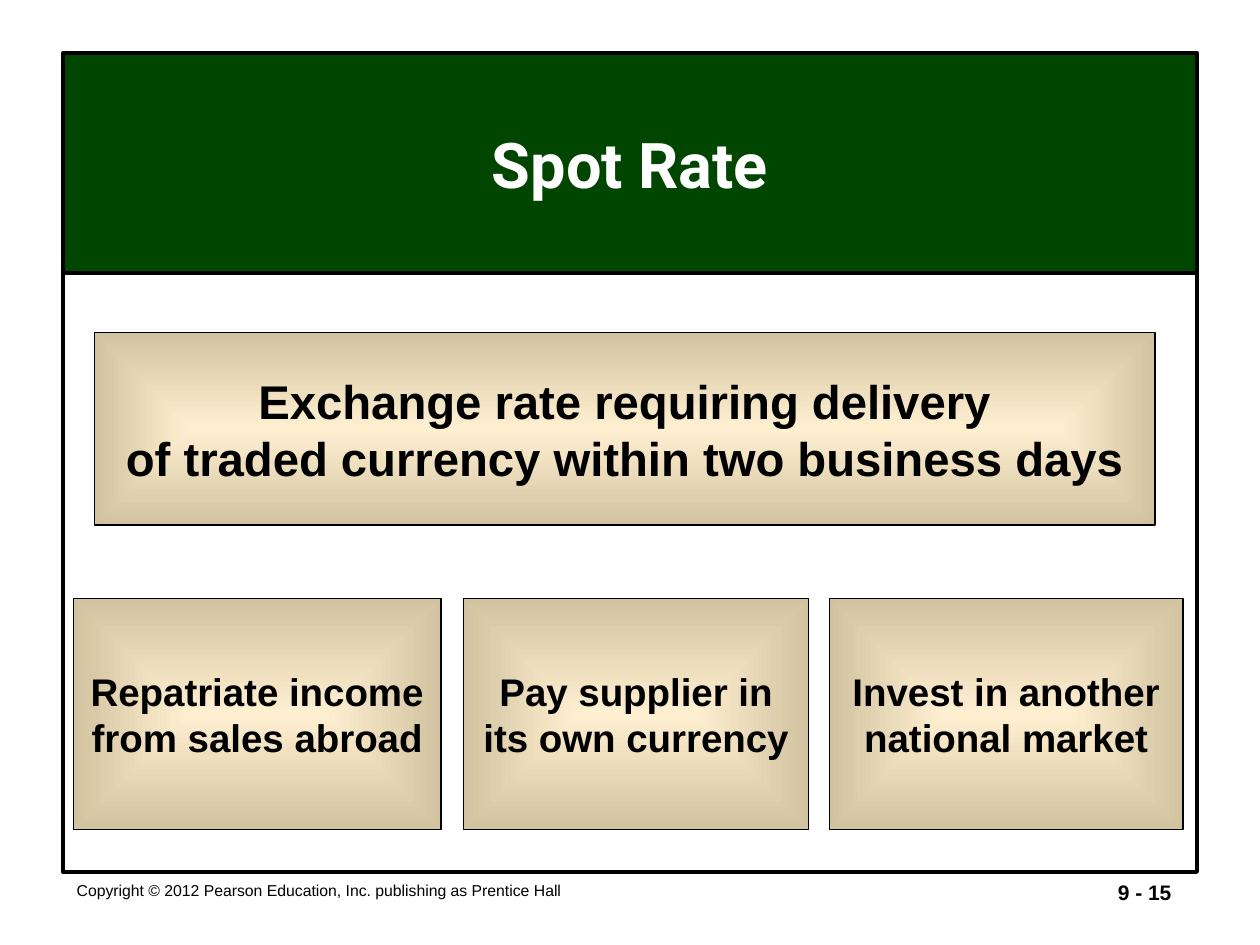
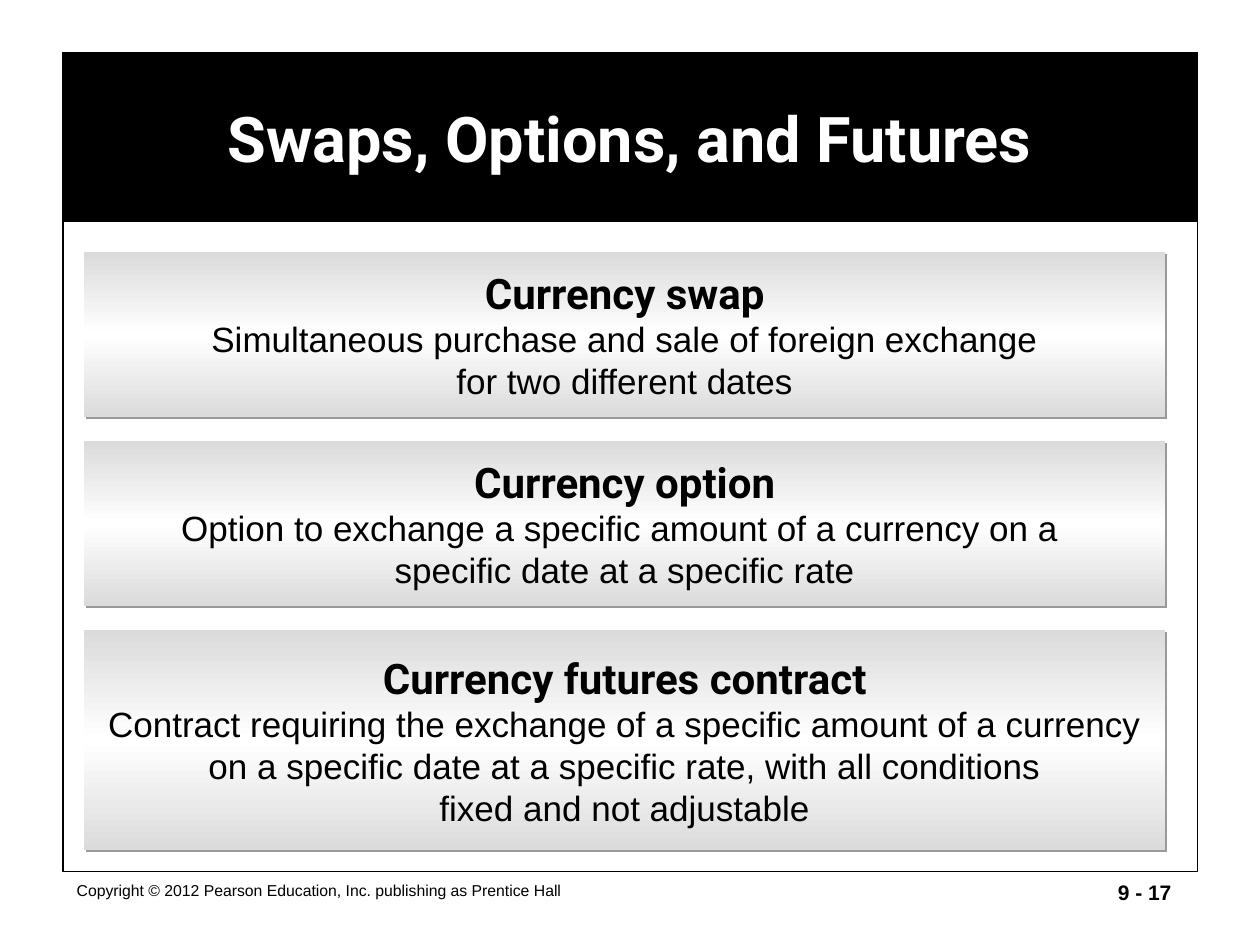
from dataclasses import dataclass

from lxml.etree import SubElement
from pptx import Presentation
from pptx.dml.color import RGBColor
from pptx.enum.shapes import MSO_SHAPE
from pptx.enum.text import MSO_ANCHOR, MSO_AUTO_SIZE, PP_ALIGN
from pptx.oxml.ns import qn
from pptx.presentation import Presentation as Deck
from pptx.shapes.autoshape import Shape
from pptx.slide import Slide
from pptx.text.text import TextFrame
from pptx.util import Pt

BLACK = RGBColor(0x00, 0x00, 0x00)
WHITE = RGBColor(0xFF, 0xFF, 0xFF)
GREEN = RGBColor(0x00, 0x46, 0x00)
CREAM = RGBColor(0xFF, 0xEF, 0xD1)
TAN = RGBColor(0xD1, 0xC3, 0x9F)
SILVER = RGBColor(0xDB, 0xDB, 0xDB)
SHADOW_GRAY = RGBColor(0x99, 0x99, 0x99)

HEADING_FONT = "Roboto"
BODY_FONT = "Arial"
COPYRIGHT = "Copyright © 2012 Pearson Education, Inc. publishing as Prentice Hall"


@dataclass(frozen=True)
class Area:
    """A rectangle in points."""
    left: float
    top: float
    width: float
    height: float

    def lengths(self) -> tuple[Pt, Pt, Pt, Pt]:
        return Pt(self.left), Pt(self.top), Pt(self.width), Pt(self.height)


@dataclass(frozen=True)
class Gradient:
    stops: tuple[tuple[int, RGBColor], ...]  # percent, colour
    from_center: bool = False


@dataclass(frozen=True)
class TanBox:
    area: Area
    lines: tuple[str, ...]
    size: float


@dataclass(frozen=True)
class TermCard:
    term: str
    definition: tuple[str, ...]
    height: float


TAN_GLOW = Gradient(((0, CREAM), (100, TAN)), from_center=True)
SILVER_SHEEN = Gradient(((0, SILVER), (50, WHITE), (100, SILVER)))

PAGE_FRAME = Area(36, 30.25, 648.5, 468)
SPOT_FRAME = Area(36, 156.25, 648, 342)
REASON_TOP, REASON_HEIGHT = 342, 132
CARD_LEFT, CARD_TOP, CARD_WIDTH, CARD_PITCH = 48, 144, 618, 108

SPOT_BOXES = (
    TanBox(Area(54, 190, 606, 110),
           ("Exchange rate requiring delivery",
            "of traded currency within two business days"), 27),
    TanBox(Area(42, REASON_TOP, 210, REASON_HEIGHT),
           ("Repatriate income", "from sales abroad"), 22),
    TanBox(Area(265, REASON_TOP, 197, REASON_HEIGHT),
           ("Pay supplier in", "its own currency"), 22),
    TanBox(Area(474, REASON_TOP, 202, REASON_HEIGHT),
           ("Invest in another", "national market"), 22),
)

TERM_CARDS = (
    TermCard("Currency swap",
             ("Simultaneous purchase and sale of foreign exchange",
              "for two different dates"), 94.5),
    TermCard("Currency option",
             ("Option to exchange a specific amount of a currency on a ",
              "specific date at a specific rate"), 94.5),
    TermCard("Currency futures contract",
             ("Contract requiring the exchange of a specific amount of a currency",
              "on a specific date at a specific rate, with all conditions",
              "fixed and not adjustable"), 126),
)


# Text
def add_text(frame: TextFrame, text: str, *, size: float,
             font: str = BODY_FONT, bold: bool = False,
             color: RGBColor = BLACK,
             align: PP_ALIGN = PP_ALIGN.CENTER) -> None:
    """Write one paragraph, using the empty first one if there is one."""
    para = frame.paragraphs[0]
    if para.runs:
        para = frame.add_paragraph()
    para.alignment = align
    span = para.add_run()
    span.text = text
    span.font.name = font
    span.font.size = Pt(size)
    span.font.bold = bold
    span.font.color.rgb = color


# Shapes
def add_box(page: Slide, area: Area, *, line_width: float = 0) -> Shape:
    box = page.shapes.add_shape(MSO_SHAPE.RECTANGLE, *area.lengths())
    box.shadow.inherit = False
    box.fill.background()
    if line_width:
        box.line.color.rgb = BLACK
        box.line.width = Pt(line_width)
    else:
        box.line.fill.background()
    box.text_frame.word_wrap = False
    box.text_frame.vertical_anchor = MSO_ANCHOR.MIDDLE
    return box


def fill_gradient(box: Shape, gradient: Gradient) -> None:
    box.fill.gradient()
    fill = box._element.spPr.find(qn("a:gradFill"))
    for child in list(fill):
        fill.remove(child)
    stops = SubElement(fill, qn("a:gsLst"))
    for percent, color in gradient.stops:
        stop = SubElement(stops, qn("a:gs"), pos=str(percent * 1000))
        SubElement(stop, qn("a:srgbClr"), val=str(color))
    if gradient.from_center:
        shade = SubElement(fill, qn("a:path"), {"path": "rect"})
        SubElement(shade, qn("a:fillToRect"),
                   {side: "50000" for side in "ltrb"})
    else:
        SubElement(fill, qn("a:lin"), ang="5400000", scaled="1")


def add_drop_shadow(box: Shape) -> None:
    effects = box._element.spPr.find(qn("a:effectLst"))
    shadow = SubElement(effects, qn("a:outerShdw"), dist=str(Pt(1.4)),
                        dir="2700000", algn="ctr", rotWithShape="0")
    SubElement(shadow, qn("a:srgbClr"), val=str(SHADOW_GRAY))


def add_footer(page: Slide, area: Area, text: str, *, size: float,
               bold: bool, align: PP_ALIGN) -> None:
    box = page.shapes.add_textbox(*area.lengths())
    box.text_frame.word_wrap = True
    add_text(box.text_frame, text, size=size, bold=bold, align=align)


# Shared page: title band, frame and footers
def add_page(deck: Deck, title: str, number: str, *, band_height: float,
             band_color: RGBColor, band_line: float) -> Slide:
    page = deck.slides.add_slide(deck.slide_layouts[5])
    band = page.shapes.title
    area = Area(36, 30.25, 648, band_height)
    band.left, band.top, band.width, band.height = area.lengths()
    band.fill.solid()
    band.fill.fore_color.rgb = band_color
    band.line.color.rgb = BLACK
    band.line.width = Pt(band_line)
    frame = band.text_frame
    frame.auto_size = MSO_AUTO_SIZE.NONE
    frame.vertical_anchor = MSO_ANCHOR.MIDDLE
    add_text(frame, title, size=36, font=HEADING_FONT, bold=True, color=WHITE)

    add_box(page, PAGE_FRAME, line_width=0.75)
    add_footer(page, Area(526.5, 499, 150, 31.5), number,
               size=12, bold=True, align=PP_ALIGN.RIGHT)
    add_footer(page, Area(36.75, 499.75, 407, 33), COPYRIGHT,
               size=9, bold=False, align=PP_ALIGN.LEFT)
    return page


def build_spot_rate(deck: Deck) -> None:
    page = add_page(deck, "Spot Rate", "9 - 15", band_height=126,
                    band_color=GREEN, band_line=2.25)
    add_box(page, SPOT_FRAME, line_width=2.25)
    for item in SPOT_BOXES:
        box = add_box(page, item.area, line_width=0.75)
        fill_gradient(box, TAN_GLOW)
        for line in item.lines:
            add_text(box.text_frame, line, size=item.size, bold=True)


def build_swaps(deck: Deck) -> None:
    page = add_page(deck, "Swaps, Options, and Futures", "9 - 17",
                    band_height=96, band_color=BLACK, band_line=0.75)
    for index, card in enumerate(TERM_CARDS):
        top = CARD_TOP + index * CARD_PITCH
        box = add_box(page, Area(CARD_LEFT, top, CARD_WIDTH, card.height))
        fill_gradient(box, SILVER_SHEEN)
        add_drop_shadow(box)
        add_text(box.text_frame, card.term, size=24, font=HEADING_FONT,
                 bold=True)
        for line in card.definition:
            add_text(box.text_frame, line, size=20)


def main() -> None:
    deck = Presentation()
    deck.slide_width, deck.slide_height = Pt(720), Pt(540)
    build_spot_rate(deck)
    build_swaps(deck)
    deck.save("out.pptx")


if __name__ == "__main__":
    main()
